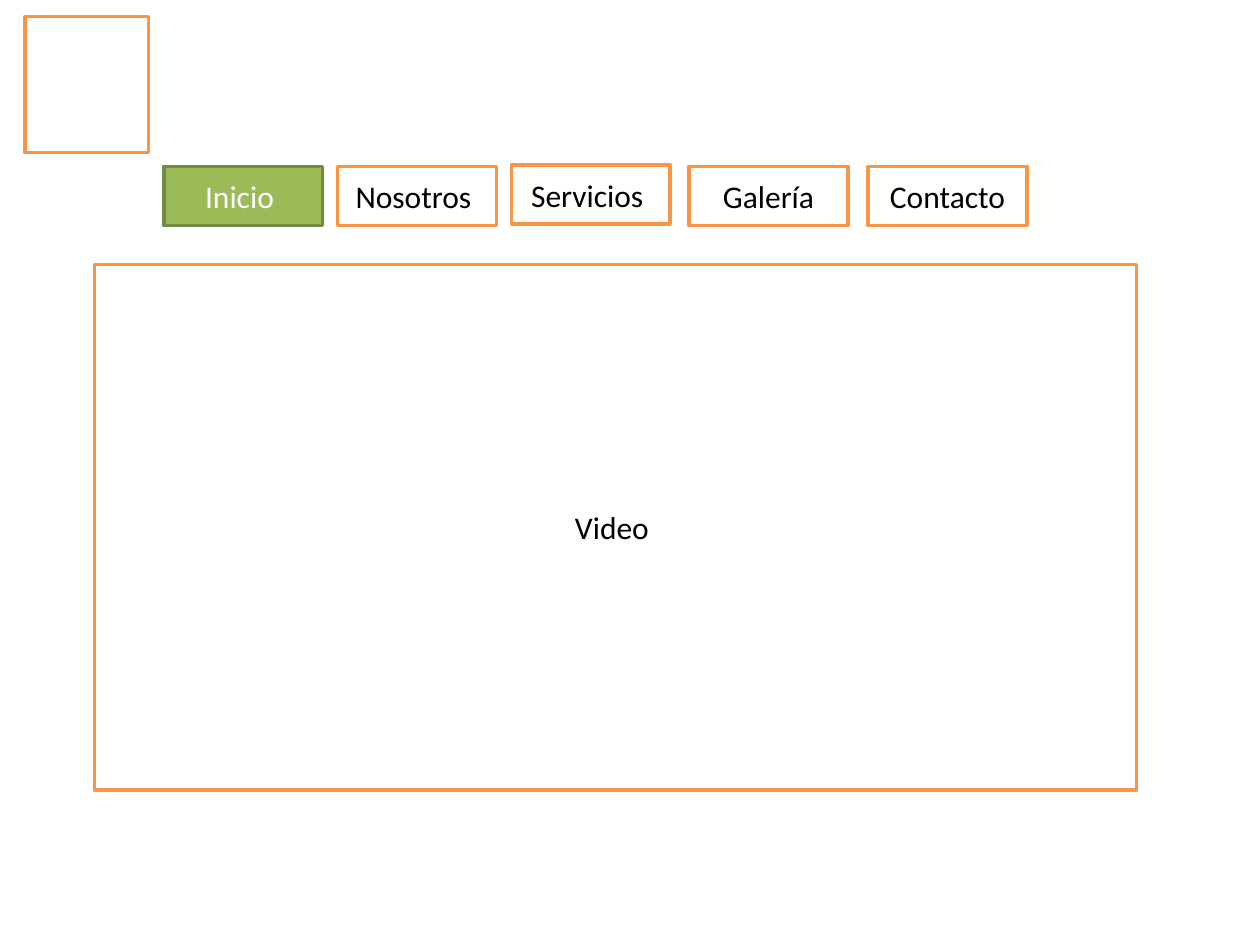
from dataclasses import dataclass

from pptx import Presentation
from pptx.dml.color import RGBColor
from pptx.enum.shapes import MSO_SHAPE as Shape
from pptx.enum.text import MSO_ANCHOR as Anchor, PP_ALIGN as Align
from pptx.slide import Slide
from pptx.util import Pt

COLORS = {
    "white": "FFFFFF",
    "black": "000000",
    "orange": "F79646",
    "green": "9BBB59",
    "dark_green": "738A42",
}
BUTTON_WIDTH, BUTTON_HEIGHT = 90.72, 33.84


@dataclass(frozen=True)
class Panel:
    left: float
    top: float
    width: float
    height: float
    label: str = ""
    fill: str = "white"
    line: str = "orange"
    ink: str = "black"


def color(name: str) -> RGBColor:
    return RGBColor.from_string(COLORS[name])


def button(left: float, label: str, top: float = 95.04, **style: str) -> Panel:
    return Panel(left, top, BUTTON_WIDTH, BUTTON_HEIGHT, label, **style)


def draw_panel(page: Slide, panel: Panel) -> None:
    box = page.shapes.add_shape(
        Shape.RECTANGLE, Pt(panel.left), Pt(panel.top), Pt(panel.width), Pt(panel.height)
    )
    box.shadow.inherit = False
    box.fill.solid()
    box.fill.fore_color.rgb = color(panel.fill)
    box.line.color.rgb = color(panel.line)
    box.line.width = Pt(2)
    if panel.label:
        frame = box.text_frame
        frame.word_wrap = True
        frame.vertical_anchor = Anchor.MIDDLE
        para = frame.paragraphs[0]
        para.text = panel.label
        para.alignment = Align.CENTER
        para.font.name = "Calibri"
        para.font.size = Pt(18)
        para.font.color.rgb = color(panel.ink)


def build_deck() -> None:
    """Build the home page wireframe with its menu, logo space and video area."""
    deck = Presentation()
    deck.slide_width, deck.slide_height = Pt(720), Pt(540)
    page = deck.slides.add_slide(deck.slide_layouts[6])
    panels = [
        button(192.96, "Nosotros "),
        button(292.32, "Servicios ", top=94.32),
        button(93.6, "Inicio ", fill="green", line="dark_green", ink="white"),
        button(393.84, "Galería"),
        button(496.08, "Contacto"),
        Panel(14.4, 9.36, 70.56, 77.76),
        Panel(54, 151.2, 595.44, 300.24, "Video "),
    ]
    for panel in panels:
        draw_panel(page, panel)
    deck.save("out.pptx")


build_deck()
